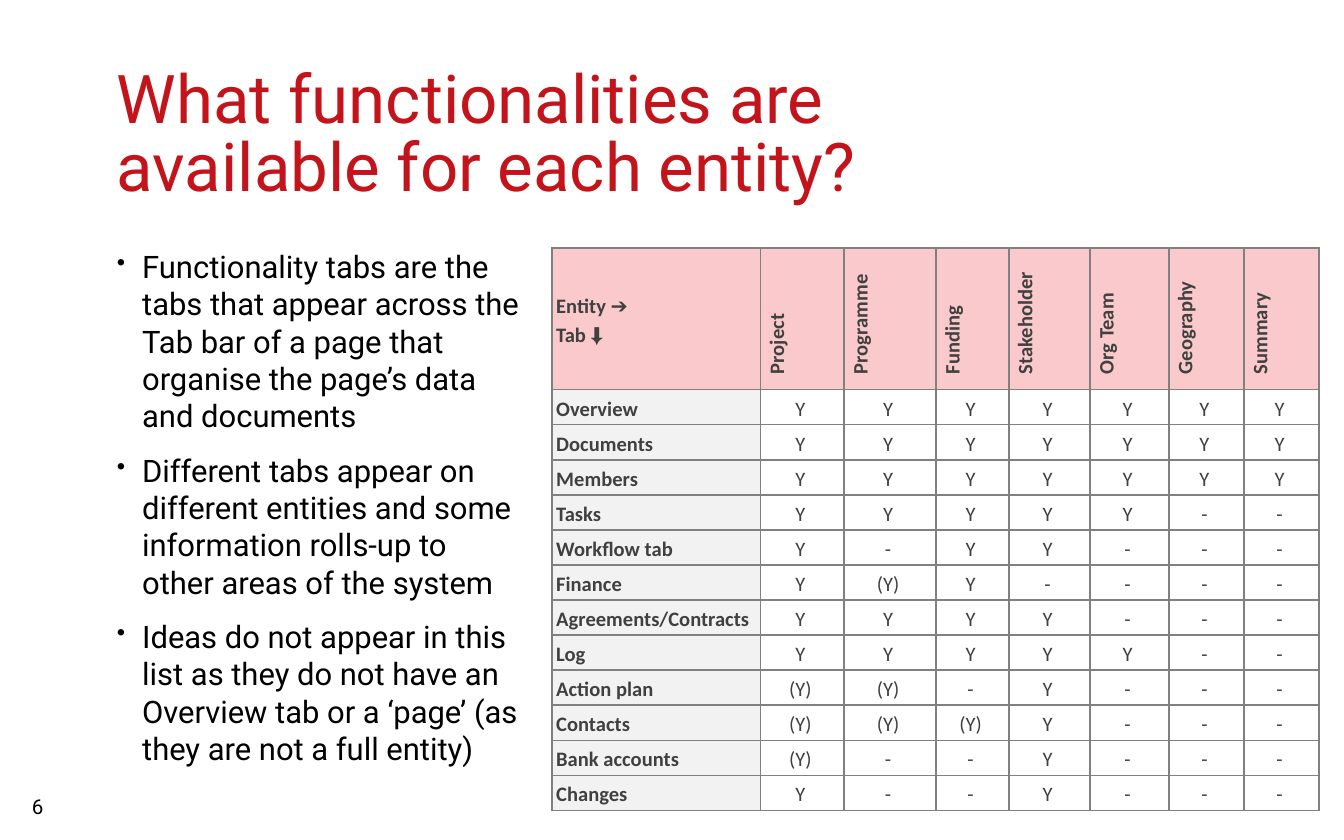
from dataclasses import dataclass
from typing import NamedTuple, Optional

from lxml import etree
from pptx import Presentation
from pptx.dml.color import RGBColor
from pptx.enum import text as t
from pptx.oxml import ns
from pptx.util import Pt


@dataclass(frozen=True)
class Theme:
    red: str = "C4141B"
    black: str = "000000"
    grey_text: str = "404040"
    header_fill: str = "FAC9CB"
    label_fill: str = "F2F2F2"
    border: str = "808080"
    slide_font: str = "Roboto"
    table_font: str = "Calibri"
    title_size: float = 36
    body_size: float = 16.6
    small_size: float = 11


class Box(NamedTuple):
    left: float
    top: float
    width: float
    height: float


class Margins(NamedTuple):
    left: float = 7.2
    top: float = 3.6
    right: float = 7.2
    bottom: float = 3.6


class TabRow(NamedTuple):
    label: str
    marks: str


THEME = Theme()
CELL_MARGINS = Margins(2.2, 0, 4.3, 0)
TITLE = "What functionalities are\navailable for each entity?"
POINTS = [
    "Functionality tabs are the tabs that appear across the Tab bar of a page that "
    "organise the page’s data and documents",
    "Different tabs appear on different entities and some information rolls-up to "
    "other areas of the system",
    "Ideas do not appear in this list as they do not have an Overview tab or a "
    "‘page’ (as they are not a full entity)",
]
CORNER = ["Entity ➔", "Tab ⬇"]
ENTITIES = ["Project", "Programme", "Funding", "Stakeholder", "Org Team",
            "Geography", "Summary"]
TABS = [
    TabRow("Overview", "Y Y Y Y Y Y Y"),
    TabRow("Documents", "Y Y Y Y Y Y Y"),
    TabRow("Members", "Y Y Y Y Y Y Y"),
    TabRow("Tasks", "Y Y Y Y Y - -"),
    TabRow("Workflow tab", "Y - Y Y - - -"),
    TabRow("Finance", "Y (Y) Y - - - -"),
    TabRow("Agreements/Contracts", "Y Y Y Y - - -"),
    TabRow("Log", "Y Y Y Y Y - -"),
    TabRow("Action plan", "(Y) (Y) - Y - - -"),
    TabRow("Contacts", "(Y) (Y) (Y) Y - - -"),
    TabRow("Bank accounts", "(Y) - - Y - - -"),
    TabRow("Changes", "Y - - Y - - -"),
]
COLUMN_WIDTHS = [111.7, 44.7, 49.3, 39.1, 43.4, 42.3, 40.2, 40.2]
HEADER_HEIGHT = 75.8
ROW_HEIGHT = 18.82


def write(frame, paragraphs: list[str], *, size: float, color: str,
          font: str = THEME.slide_font, bold: bool = False, align=t.PP_ALIGN.LEFT,
          spacing=None, gap: float = 0, indent: float = 0,
          bullet: Optional[str] = None) -> None:
    """Fill a text frame, one paragraph for each string; gap separates them."""
    for index, content in enumerate(paragraphs):
        paragraph = frame.paragraphs[0] if index == 0 else frame.add_paragraph()
        paragraph.text = content
        paragraph.alignment = align
        if spacing is not None:
            paragraph.line_spacing = spacing
        paragraph.space_before = Pt(gap if index else 0)
        paragraph.space_after = Pt(gap)
        properties = paragraph._p.get_or_add_pPr()
        if indent:
            properties.set("marL", str(Pt(indent)))
        if bullet:
            properties.set("indent", str(-Pt(indent)))
            etree.SubElement(properties, ns.qn("a:buSzPct")).set("val", "80000")
            etree.SubElement(properties, ns.qn("a:buChar")).set("char", bullet)
        for run in paragraph.runs:
            run.font.name = font
            run.font.size = Pt(size)
            run.font.bold = bold
            run.font.color.rgb = RGBColor.from_string(color)


def add_text(slide, box: Box, paragraphs: list[str], margins: Margins = Margins(),
             **formatting) -> None:
    frame = slide.shapes.add_textbox(*map(Pt, box)).text_frame
    frame.word_wrap = True
    frame.margin_left, frame.margin_top, frame.margin_right, frame.margin_bottom = map(
        Pt, margins)
    write(frame, paragraphs, **formatting)


def style_cell(cell, fill: Optional[str]) -> None:
    """Set margins, anchor, borders and then the fill, as the schema orders them."""
    cell.margin_left, cell.margin_top, cell.margin_right, cell.margin_bottom = map(
        Pt, CELL_MARGINS)
    cell.vertical_anchor = t.MSO_ANCHOR.MIDDLE
    properties = cell._tc.get_or_add_tcPr()
    for side in ("lnL", "lnR", "lnT", "lnB"):
        line = etree.SubElement(properties, ns.qn(f"a:{side}"), w=str(Pt(1)))
        solid = etree.SubElement(line, ns.qn("a:solidFill"))
        etree.SubElement(solid, ns.qn("a:srgbClr"), val=THEME.border)
    if fill:
        cell.fill.solid()
        cell.fill.fore_color.rgb = RGBColor.from_string(fill)
    else:
        cell.fill.background()


def fill_cell(cell, paragraphs: list[str], fill: Optional[str] = None,
              vertical: bool = False, **formatting) -> None:
    style_cell(cell, fill)
    if vertical:
        cell._tc.get_or_add_tcPr().set("vert", "vert270")
    write(cell.text_frame, paragraphs, size=THEME.small_size, color=THEME.grey_text,
          font=THEME.table_font, spacing=1.15, **formatting)


def add_tab_table(slide, left: float, top: float) -> None:
    heights = [HEADER_HEIGHT] + [ROW_HEIGHT] * len(TABS)
    box = Box(left, top, sum(COLUMN_WIDTHS), sum(heights))
    table = slide.shapes.add_table(len(heights), len(COLUMN_WIDTHS), *map(Pt, box)).table
    table.first_row = table.horz_banding = False
    for column, width in zip(table.columns, COLUMN_WIDTHS):
        column.width = Pt(width)
    for row, height in zip(table.rows, heights):
        row.height = Pt(height)

    fill_cell(table.cell(0, 0), CORNER, THEME.header_fill, bold=True)
    for column, entity in enumerate(ENTITIES, start=1):
        fill_cell(table.cell(0, column), [entity], THEME.header_fill, vertical=True,
                  bold=True, indent=6)
    for row, tab in enumerate(TABS, start=1):
        fill_cell(table.cell(row, 0), [tab.label], THEME.label_fill, bold=True)
        for column, mark in enumerate(tab.marks.split(), start=1):
            fill_cell(table.cell(row, column), [mark], align=t.PP_ALIGN.CENTER)


def main() -> None:
    presentation = Presentation()
    presentation.slide_width, presentation.slide_height = Pt(720), Pt(450)
    slide = presentation.slides.add_slide(presentation.slide_layouts[6])
    add_text(slide, Box(62.6, 37.4, 594.7, 70.6), [TITLE], Margins(0, 0, 2.9, 0),
             size=THEME.title_size, color=THEME.red, spacing=Pt(36.2))
    add_text(slide, Box(62.6, 132.5, 216, 296), POINTS, Margins(0, 0, 0, 0),
             size=THEME.body_size, color=THEME.black, spacing=Pt(20), gap=4.5,
             indent=13.6, bullet="•")
    add_text(slide, Box(10, 422, 216, 28), ["6"], size=THEME.small_size,
             color=THEME.black)
    add_tab_table(slide, 295.8, 132.9)
    presentation.save("out.pptx")


if __name__ == "__main__":
    main()
